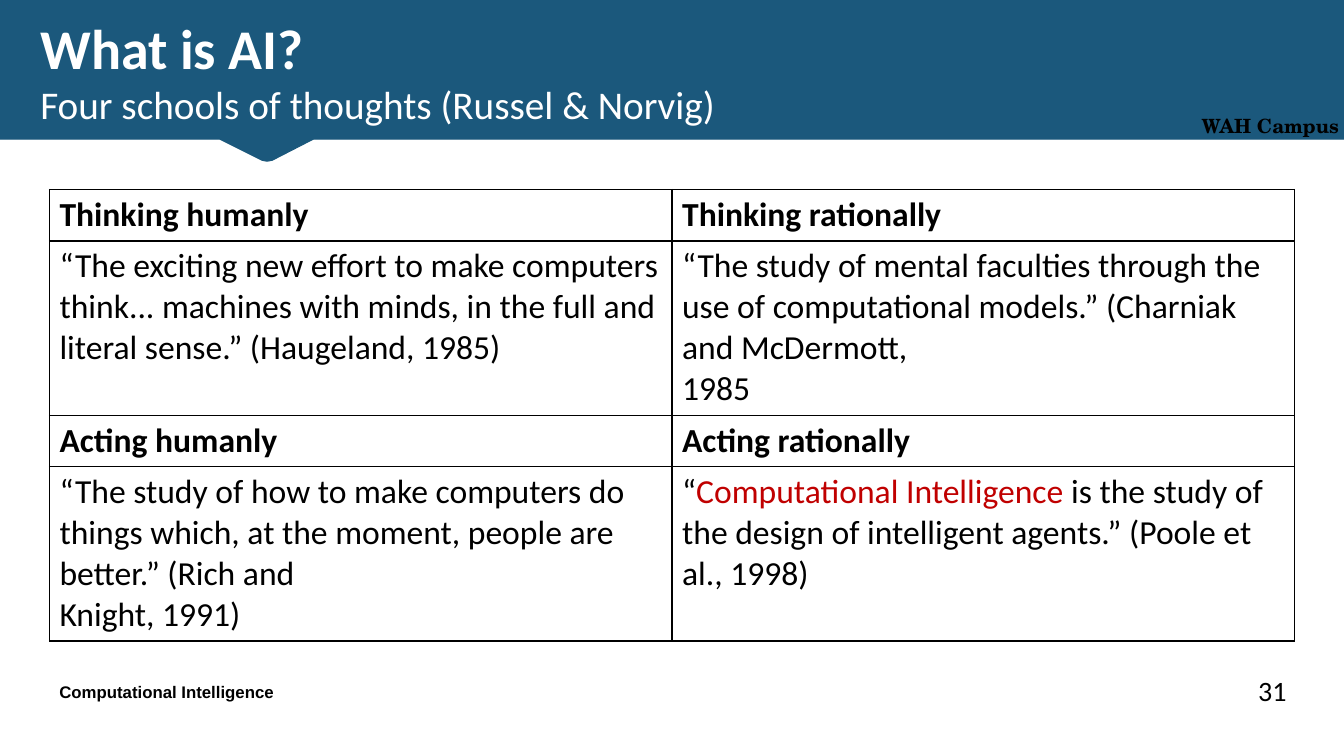
from dataclasses import dataclass

from lxml import etree
from pptx import Presentation
from pptx.dml.color import RGBColor
from pptx.enum.text import MSO_ANCHOR, MSO_AUTO_SIZE, PP_ALIGN
from pptx.oxml.ns import qn
from pptx.util import Emu, Inches, Pt

LEFT, RIGHT = PP_ALIGN.LEFT, PP_ALIGN.RIGHT
MIDDLE, BOTTOM = MSO_ANCHOR.MIDDLE, MSO_ANCHOR.BOTTOM
NO_AUTOFIT = MSO_AUTO_SIZE.NONE
WIDTH, HEIGHT = Inches(13.33), Inches(7.5)
TITLE_ONLY = 5
COLORS = {"banner": "1B587C", "white": "FFFFFF", "black": "000000", "accent": "C00000"}


@dataclass(frozen=True)
class Area:
    left: float
    top: float
    width: float
    height: float


@dataclass(frozen=True)
class Span:
    text: str
    color: str = "black"


@dataclass(frozen=True)
class Label:
    text: str
    area: Area
    size: float
    font: str
    bold: bool
    align: PP_ALIGN
    bottom_inset: float


@dataclass(frozen=True)
class School:
    name: str
    quote: tuple


TITLE_AREA = Area(2.25, 0.27, 86.27, 18.13)
TABLE_AREA = Area(3.68, 25.07, 92.65, 59.74)
NAME_ROW, QUOTE_ROW = 6.8, 23.07
BANNER_OUTLINE = [
    (0, 0), (0, 18.4), (16.35, 18.4), (19.5, 21.2), (19.88, 21.33),
    (20.26, 21.2), (23.33, 18.4), (100, 18.4), (100, 0),
]
LABELS = [
    Label("WAH Campus", Area(87.4, 13.73, 12.98, 4.53), 14, "TeX Gyre Schola", True, RIGHT, 0.01),
    Label("Computational Intelligence", Area(3.68, 88.13, 67.97, 5.33), 12, "Arial", True, LEFT, 0.05),
    Label("31", Area(88.52, 88, 7.95, 5.6), 20, "Calibri", False, RIGHT, 0.01),
]
SCHOOLS = [
    [
        School("Thinking humanly", (
            [Span("“The exciting new effort to make computers think... machines with minds, "
                  "in the full and literal sense.” (Haugeland, 1985)")],
        )),
        School("Thinking rationally", (
            [Span("“The study of mental faculties through the use of computational models.” "
                  "(Charniak and McDermott,")],
            [Span("1985")],
        )),
    ],
    [
        School("Acting humanly", (
            [Span("“The study of how to make computers do things which, at the moment, "
                  "people are better.” (Rich and")],
            [Span("Knight, 1991)")],
        )),
        School("Acting rationally", (
            [Span("“"), Span("Computational Intelligence ", "accent"),
             Span("is the study of the design of intelligent agents.” (Poole et al., 1998)")],
        )),
    ],
]


def across(share: float) -> Emu:
    return Emu(round(WIDTH * share / 100))


def down(share: float) -> Emu:
    return Emu(round(HEIGHT * share / 100))


def place(area: Area) -> tuple:
    return across(area.left), down(area.top), across(area.width), down(area.height)


def rgb(name: str) -> RGBColor:
    return RGBColor.from_string(COLORS[name])


def write(paragraph, text: str, *, size: float, font: str = "Calibri", color: str = "black",
          bold: bool = False, align: PP_ALIGN = LEFT):
    paragraph.alignment = align
    run = paragraph.add_run()
    run.text = text
    run.font.size = Pt(size)
    run.font.name = font
    run.font.bold = bold
    run.font.color.rgb = rgb(color)
    return run


def add_text_shadow(run) -> None:
    effects = etree.Element(qn("a:effectLst"))
    shadow = etree.SubElement(effects, qn("a:outerShdw"), blurRad="38100", dist="38100",
                              dir="2700000", algn="tl")
    color = etree.SubElement(shadow, qn("a:srgbClr"), val=COLORS["black"])
    etree.SubElement(color, qn("a:alpha"), val="43000")
    run.font.fill._xPr.find(qn("a:solidFill")).addnext(effects)


def add_banner(slide) -> None:
    points = [(across(x), down(y)) for x, y in BANNER_OUTLINE]
    builder = slide.shapes.build_freeform(*points[0])
    builder.add_line_segments(points[1:], close=True)
    banner = builder.convert_to_shape()
    banner.shadow.inherit = False
    banner.fill.solid()
    banner.fill.fore_color.rgb = rgb("banner")
    banner.line.color.rgb = rgb("banner")
    banner.line.width = Pt(0.75)
    slide.shapes.title.element.addprevious(banner.element)


def add_title(slide) -> None:
    title = slide.shapes.title
    title.left, title.top, title.width, title.height = place(TITLE_AREA)
    frame = title.text_frame
    frame.auto_size = NO_AUTOFIT
    frame.word_wrap = True
    frame.vertical_anchor = MIDDLE
    paragraph = frame.paragraphs[0]
    add_text_shadow(write(paragraph, "What is AI? ", size=40, color="white", bold=True))
    paragraph.add_line_break()
    add_text_shadow(write(paragraph, "Four schools of thoughts (Russel & Norvig)",
                          size=28, color="white"))


def add_label(slide, label: Label) -> None:
    frame = slide.shapes.add_textbox(*place(label.area)).text_frame
    frame.auto_size = NO_AUTOFIT
    frame.word_wrap = True
    frame.vertical_anchor = BOTTOM
    frame.margin_bottom = Inches(label.bottom_inset)
    write(frame.paragraphs[0], label.text, size=label.size, font=label.font,
          bold=label.bold, align=label.align)


def format_cell(cell) -> None:
    cell.fill.background()
    properties = cell._tc.get_or_add_tcPr()
    for position, side in enumerate(("lnL", "lnR", "lnT", "lnB")):
        border = etree.Element(qn(f"a:{side}"), w=str(Pt(1)))
        fill = etree.SubElement(border, qn("a:solidFill"))
        etree.SubElement(fill, qn("a:srgbClr"), val=COLORS["black"])
        properties.insert(position, border)


def fill_cell(cell, paragraphs, bold: bool) -> None:
    format_cell(cell)
    frame = cell.text_frame
    for index, spans in enumerate(paragraphs):
        paragraph = frame.add_paragraph() if index else frame.paragraphs[0]
        for span in spans:
            write(paragraph, span.text, size=24, color=span.color, bold=bold)


def add_schools(slide) -> None:
    row_count, column_count = 2 * len(SCHOOLS), len(SCHOOLS[0])
    table = slide.shapes.add_table(row_count, column_count, *place(TABLE_AREA)).table
    table.first_row = False
    table.horz_banding = False
    for index, row in enumerate(table.rows):
        row.height = down(QUOTE_ROW if index % 2 else NAME_ROW)
    for pair_index, pair in enumerate(SCHOOLS):
        for column, school in enumerate(pair):
            fill_cell(table.cell(2 * pair_index, column), [[Span(school.name)]], True)
            fill_cell(table.cell(2 * pair_index + 1, column), school.quote, False)


def main() -> None:
    presentation = Presentation()
    presentation.slide_width, presentation.slide_height = WIDTH, HEIGHT
    slide = presentation.slides.add_slide(presentation.slide_layouts[TITLE_ONLY])
    add_banner(slide)
    add_title(slide)
    add_schools(slide)
    for label in LABELS:
        add_label(slide, label)
    presentation.save("out.pptx")


if __name__ == "__main__":
    main()
